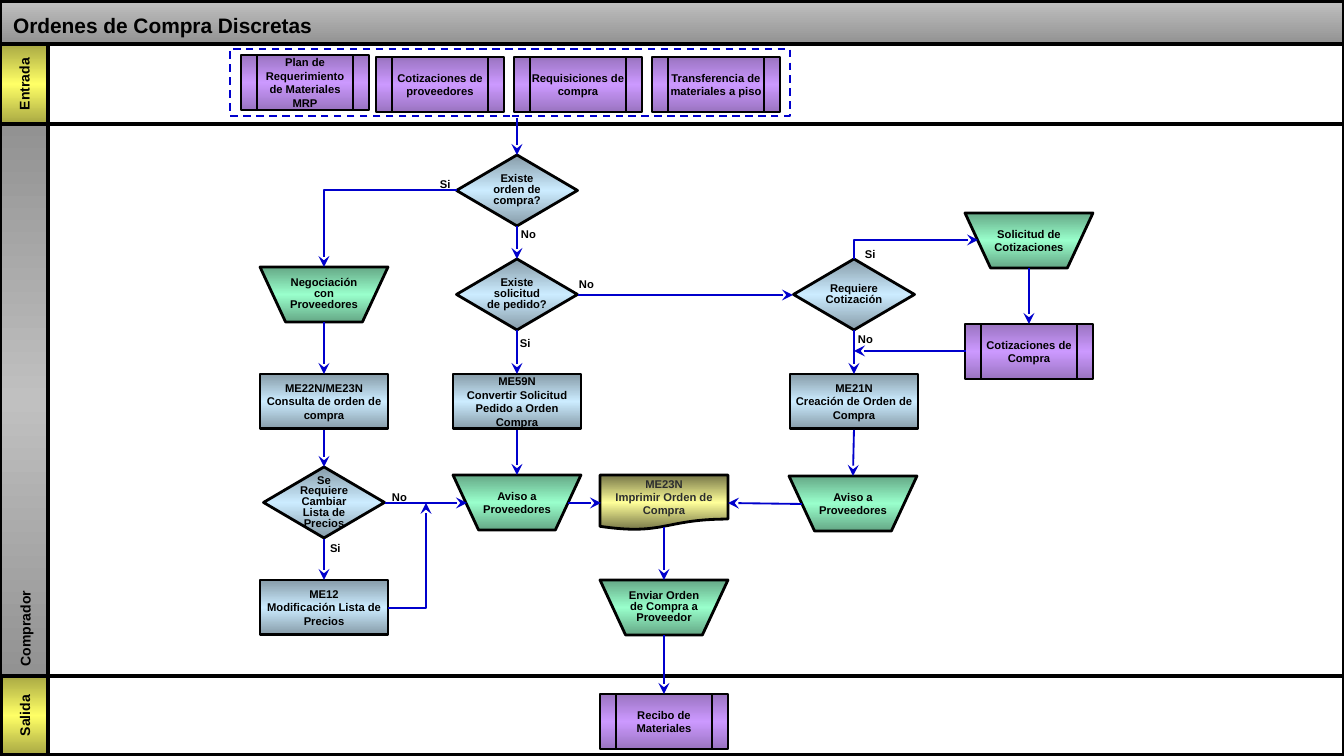
"""Build the swimlane flowchart slide for discrete purchase orders."""
from copy import deepcopy
from dataclasses import dataclass

from pptx import Presentation
from pptx import util as u
from pptx.dml.color import RGBColor
from pptx.enum import dml, shapes, text
from pptx.oxml import parse_xml
from pptx.oxml.ns import nsdecls, qn

EMU_PER_PX = 914400 / 134.4
FONT = "Arial"
MSO = shapes.MSO_SHAPE
COLORS = {
    "black": "000000", "white": "FFFFFF", "page": "F2F2F2", "arrow": "0000CC", "ink": "2B2D2E",
    "gray": "C0C0C0", "gray_dark": "929292", "yellow": "FFFF66", "yellow_dark": "A8A843",
    "violet": "CC99FF", "violet_dark": "9A74C1", "blue": "CCECFF", "blue_dark": "869BA8",
    "green": "99FFCC", "green_dark": "65A886", "cream": "FFFF99", "cream_dark": "767647",
}


@dataclass(frozen=True)
class Kind:
    shape: shapes.MSO_SHAPE
    hue: str
    w: int = 128
    h: int = 55
    inset: int = 1
    ink: str = "black"


@dataclass(frozen=True)
class Node:
    kind: Kind
    cx: int
    top: int
    lines: tuple[str, ...]
    spacing: float = 1.0


@dataclass(frozen=True)
class Lane:
    x: int
    y: int
    w: int
    h: int
    fill: tuple[str, ...]
    label: str = ""


@dataclass(frozen=True)
class Arrow:
    x1: int
    y1: int
    x2: int
    y2: int
    bend: str = ""


@dataclass(frozen=True)
class Label:
    x: int
    y: int
    word: str


STORED = Kind(MSO.FLOWCHART_PREDEFINED_PROCESS, "violet")
STEP = Kind(MSO.RECTANGLE, "blue")
CHOICE = Kind(MSO.DIAMOND, "blue", 121, 71, 0)
MANUAL = Kind(MSO.FLOWCHART_MANUAL_OPERATION, "green")
DOCUMENT = Kind(MSO.FLOWCHART_DOCUMENT, "cream", inset=3, ink="ink")
YELLOW = ("yellow_dark", "yellow", "yellow_dark")
GRAY = ("gray_dark", "gray", "gray_dark")

LANES = [
    Lane(0, 124, 48, 552, GRAY),
    Lane(0, 676, 1344, 79, ("white",)),
    Lane(1, 676, 47, 79, YELLOW, "Salida"),
    Lane(0, 44, 1344, 80, ("white",)),
    Lane(0, 44, 48, 80, YELLOW, "Entrada"),
    Lane(0, 1, 1344, 43, ("gray", "gray_dark")),
    Lane(48, 124, 1296, 552, ("white",)),
]
NODES = [
    Node(STORED, 305, 55, ("Plan de Requerimiento de Materiales MRP",)),
    Node(STORED, 440, 57, ("Cotizaciones de proveedores",)),
    Node(STORED, 578, 57, ("Requisiciones de compra",)),
    Node(STORED, 716, 57, ("Transferencia de materiales a piso",)),
    Node(CHOICE, 517, 155, ("Existe orden de compra?",), 0.8),
    Node(CHOICE, 517, 259, ("Existe solicitud de pedido?",), 0.8),
    Node(CHOICE, 854, 259, ("Requiere Cotización",), 0.8),
    Node(CHOICE, 324, 467, ("Se Requiere Cambiar Lista de Precios",), 0.8),
    Node(MANUAL, 324, 267, ("Negociación con Proveedores",), 0.8),
    Node(MANUAL, 1029, 213, ("Solicitud de", "Cotizaciones")),
    Node(STORED, 1029, 324, ("Cotizaciones de Compra",)),
    Node(STEP, 324, 374, ("ME22N/ME23N", "Consulta de orden de compra")),
    Node(STEP, 517, 374, ("ME59N", "Convertir Solicitud Pedido a Orden Compra")),
    Node(STEP, 854, 374, ("ME21N", "Creación de Orden de Compra")),
    Node(MANUAL, 517, 475, ("Aviso a", "Proveedores")),
    Node(DOCUMENT, 664, 475, ("ME23N", "Imprimir Orden de Compra")),
    Node(MANUAL, 853, 476, ("Aviso a", "Proveedores")),
    Node(STEP, 324, 580, ("ME12", "Modificación Lista de Precios")),
    Node(MANUAL, 664, 580, ("Enviar Orden de Compra a Proveedor",), 0.8),
    Node(STORED, 664, 694, ("Recibo de Materiales",)),
]
ARROWS = [
    Arrow(517, 118, 517, 155), Arrow(517, 226, 517, 259), Arrow(517, 330, 517, 374),
    Arrow(517, 430, 517, 475), Arrow(324, 322, 324, 374), Arrow(324, 430, 324, 467),
    Arrow(324, 539, 324, 580), Arrow(854, 330, 854, 374), Arrow(854, 430, 853, 476),
    Arrow(1029, 268, 1029, 324), Arrow(664, 527, 664, 580), Arrow(664, 635, 664, 694),
    Arrow(385, 503, 467, 503), Arrow(568, 503, 601, 503), Arrow(802, 504, 728, 503),
    Arrow(578, 295, 793, 295), Arrow(966, 351, 854, 351),
    Arrow(457, 190, 324, 267, "across"), Arrow(388, 608, 426, 503, "across"),
    Arrow(854, 259, 978, 240, "upright"),
]
LABELS = [
    Label(521, 227, "No"), Label(440, 177, "Si"), Label(579, 277, "No"), Label(392, 490, "No"),
    Label(330, 541, "Si"), Label(520, 336, "Si"), Label(865, 247, "Si"), Label(858, 332, "No"),
]


def px(n: float) -> u.Emu:
    """Turn pixels into EMU."""
    return u.Emu(round(n * EMU_PER_PX))


def rgb(name: str) -> RGBColor:
    """Look up a named colour."""
    return RGBColor.from_string(COLORS[name])


def set_fill(sp, names: tuple[str, ...]) -> None:
    """Fill a shape with one colour or a vertical gradient."""
    if len(names) == 1:
        sp.fill.solid()
        sp.fill.fore_color.rgb = rgb(names[0])
        return
    sp.fill.gradient()
    sp.fill.gradient_angle = 270
    stops = sp.element.spPr.find(".//" + qn("a:gsLst"))
    while len(stops) < len(names):
        stops.append(deepcopy(stops[-1]))
    for i, (stop, name) in enumerate(zip(sp.fill.gradient_stops, names)):
        stop.position = i / (len(names) - 1)
        stop.color.rgb = rgb(name)


def add_box(s, shape, x: int, y: int, w: int, h: int, fill: tuple[str, ...], width: float):
    """Draw a black-outlined shape without shadow."""
    sp = s.shapes.add_shape(shape, px(x), px(y), px(w), px(h))
    sp.shadow.inherit = False
    set_fill(sp, fill)
    sp.line.color.rgb = rgb("black")
    sp.line.width = u.Pt(width)
    return sp


def write(sp, lines: tuple[str, ...], size: float = 6, ink: str = "black", align=text.PP_ALIGN.CENTER,
          anchor=text.MSO_ANCHOR.MIDDLE, inset: int | None = None, spacing: float = 1.0,
          wrap: bool = True, upward: bool = False) -> None:
    """Write bold paragraphs into a shape."""
    tf = sp.text_frame
    tf.word_wrap = wrap
    tf.vertical_anchor = anchor
    if inset is not None:
        tf.margin_left = tf.margin_top = tf.margin_right = tf.margin_bottom = px(inset)
    if upward:
        tf._txBody.bodyPr.set("vert", "vert270")
    for i, line in enumerate(lines):
        p = tf.add_paragraph() if i else tf.paragraphs[0]
        p.alignment = align
        p.line_spacing = spacing
        r = p.add_run()
        r.text = line
        r.font.name, r.font.size, r.font.bold = FONT, u.Pt(size), True
        r.font.color.rgb = rgb(ink)


def add_textbox(s, x: int, y: int, w: int, h: int):
    """Add an empty text box."""
    return s.shapes.add_textbox(px(x), px(y), px(w), px(h))


def add_lane(s, lane: Lane) -> None:
    """Draw a lane band and its vertical heading."""
    sp = add_box(s, MSO.RECTANGLE, lane.x, lane.y, lane.w, lane.h, lane.fill, 2)
    if lane.label:
        write(sp, (lane.label,), 7.5, wrap=False, upward=True)


def add_node(s, n: Node) -> None:
    """Draw one flowchart step."""
    k = n.kind
    fill = (k.hue + "_dark", k.hue, k.hue + "_dark")
    sp = add_box(s, k.shape, n.cx - k.w / 2, n.top, k.w, k.h, fill, 1.5)
    write(sp, n.lines, ink=k.ink, inset=k.inset, spacing=n.spacing)


def add_arrow(s, a: Arrow) -> None:
    """Draw a straight arrow, or one with a single corner."""
    ends = [(a.x1, a.y1), (a.x2, a.y2)]
    if a.bend == "upright":
        cx, cy = (a.x1 + a.x2) / 2, (a.y1 + a.y2) / 2
        ends = [(cx + y - cy, cy - x + cx) for x, y in ends]
    style = shapes.MSO_CONNECTOR.ELBOW if a.bend else shapes.MSO_CONNECTOR.STRAIGHT
    c = s.shapes.add_connector(style, *(px(v) for end in ends for v in end))
    c.line.color.rgb = rgb("arrow")
    c.line.width = u.Pt(1)
    pr = c.element.spPr
    if a.bend:
        pr.find(qn("a:prstGeom")).set("prst", "bentConnector2")
    if a.bend == "upright":
        pr.find(qn("a:xfrm")).set("rot", "5400000")
    pr.find(qn("a:ln")).append(parse_xml(f'<a:tailEnd {nsdecls("a")} type="stealth"/>'))
    pr.append(parse_xml(f'<a:effectLst {nsdecls("a")}/>'))


def add_label(s, label: Label) -> None:
    """Write the answer beside a branch."""
    sp = add_textbox(s, label.x, label.y, 15, 13)
    write(sp, (label.word,), align=text.PP_ALIGN.LEFT, anchor=text.MSO_ANCHOR.TOP, inset=0, wrap=False)


def main() -> None:
    """Assemble and save the slide."""
    prs = Presentation()
    prs.slide_width, prs.slide_height = px(1344), px(756)
    s = prs.slides.add_slide(prs.slide_layouts[6])
    s.background.fill.solid()
    s.background.fill.fore_color.rgb = rgb("page")
    for draw, items in ((add_lane, LANES), (add_node, NODES), (add_arrow, ARROWS), (add_label, LABELS)):
        for item in items:
            draw(s, item)
    write(add_textbox(s, 7, 125, 36, 555), ("Comprador",), 7.5, align=text.PP_ALIGN.LEFT, upward=True)
    write(add_textbox(s, 0, 0, 1344, 44), ("Ordenes de Compra Discretas",), 11.2,
          align=text.PP_ALIGN.LEFT, anchor=text.MSO_ANCHOR.BOTTOM)
    group = add_box(s, MSO.RECTANGLE, 230, 49, 560, 67, ("white",), 1)
    group.fill.background()
    group.line.color.rgb = rgb("arrow")
    group.line.dash_style = dml.MSO_LINE.DASH
    prs.save("out.pptx")


if __name__ == "__main__":
    main()
